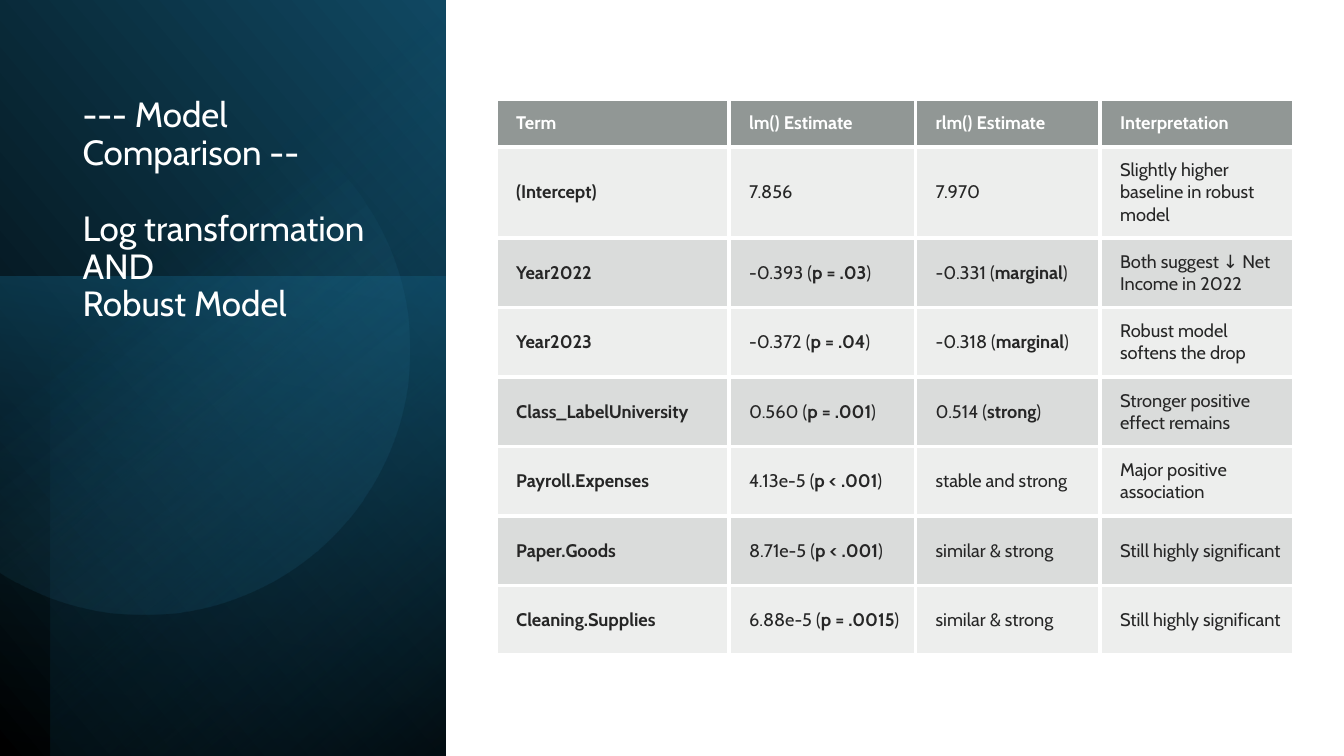
import math
import pptx
import pptx.dml.color
import pptx.enum.shapes
import pptx.enum.text
import pptx.oxml
import pptx.oxml.ns
import pptx.util

TITLE = ["--- Model Comparison --", "Log transformation AND", "Robust Model"]
TITLE_GAPS = [0, 27, 0]
HEADINGS = ["Term", "lm() Estimate", "rlm() Estimate", "Interpretation"]
TERMS = [
    ("(Intercept)", "7.856", "7.970", "Slightly higher baseline in robust model"),
    ("Year2022", "-0.393 (*p = .03*)", "-0.331 (*marginal*)", "Both suggest ↓ Net Income in 2022"),
    ("Year2023", "-0.372 (*p = .04*)", "-0.318 (*marginal*)", "Robust model softens the drop"),
    ("Class_LabelUniversity", "0.560 (*p = .001*)", "0.514 (*strong*)", "Stronger positive effect remains"),
    ("Payroll.Expenses", "4.13e-5 (*p < .001*)", "stable and strong", "Major positive association"),
    ("Paper.Goods", "8.71e-5 (*p < .001*)", "similar & strong", "Still highly significant"),
    ("Cleaning.Supplies", "6.88e-5 (*p = .0015*)", "similar & strong", "Still highly significant"),
]

WIDTH, HEIGHT = 13.33, 7.5
PANEL = 4.42
FONT = "Cabin"
COLUMNS = [2.31, 1.85, 1.83, 1.92]
ROWS = [0.48, 0.9] + [0.69] * 6
TABLE_LEFT, TABLE_TOP = 4.92, 0.98
CELL_FORMAT = {
    "margin_left": pptx.util.Inches(0.2),
    "margin_right": pptx.util.Inches(0.12),
    "margin_top": pptx.util.Inches(0.12),
    "margin_bottom": pptx.util.Inches(0.12),
    "vertical_anchor": pptx.enum.text.MSO_ANCHOR.MIDDLE,
}
PANEL_LAYERS = [
    {"area": (0, 0, PANEL, HEIGHT), "turn": 90, "flip": True, "angle": 310,
     "stops": [(0, "000000", 100), (100, "104862", 100)]},
    {"area": (0, 2.74, PANEL, HEIGHT - 2.74), "turn": 270, "flip": False, "angle": 190,
     "stops": [(0, "156082", 50), (100, "0B3041", 0)]},
    {"area": (0.5, 0, PANEL - 0.5, HEIGHT), "turn": 270, "flip": True, "angle": 220,
     "stops": [(0, "000000", 59), (69, "156082", 0)]},
]
CIRCLE = {"x": 1.43, "y": 3.47, "radius": 2.63, "angle": 52,
          "stops": [(39, "46B1E1", 0), (100, "104862", 26)]}
BORDER = ('<a:{side} xmlns:a="http://schemas.openxmlformats.org/drawingml/2006/main" w="38100">'
          '<a:solidFill><a:srgbClr val="FFFFFF"/></a:solidFill></a:{side}>')


def rgb(value):
    return pptx.dml.color.RGBColor.from_string(value)


def inches(*lengths):
    return [pptx.util.Inches(length) for length in lengths]


def apply(target, values):
    for key, value in values.items():
        setattr(target, key, value)


def set_alpha(color, percent):
    alpha = pptx.oxml.parse_xml(
        '<a:alpha xmlns:a="http://schemas.openxmlformats.org/drawingml/2006/main"/>')
    alpha.set("val", str(percent * 1000))
    color.append(alpha)


def shade(shape, layer):
    shape.shadow.inherit = False
    shape.line.fill.background()
    shape.fill.gradient()
    shape.fill.gradient_angle = 360 - layer["angle"]
    for stop, (position, color, _) in zip(shape.fill.gradient_stops, layer["stops"]):
        stop.position = position / 100
        stop.color.rgb = rgb(color)
    colors = shape._element.spPr.findall(".//" + pptx.oxml.ns.qn("a:srgbClr"))
    for element, (_, _, percent) in zip(colors, layer["stops"]):
        set_alpha(element, percent)


def add_panel_layer(slide, layer):
    left, top, width, height = layer["area"]
    middle_x, middle_y = left + width / 2, top + height / 2
    rectangle = slide.shapes.add_shape(
        pptx.enum.shapes.MSO_SHAPE.RECTANGLE,
        *inches(middle_x - height / 2, middle_y - width / 2, height, width))
    rectangle.rotation = layer["turn"]
    if layer["flip"]:
        rectangle._element.spPr.find(pptx.oxml.ns.qn("a:xfrm")).set("flipH", "1")
    shade(rectangle, layer)


def add_circle(slide):
    x, y, radius = CIRCLE["x"], CIRCLE["y"], CIRCLE["radius"]
    reach = math.acos(-x / radius)
    steps = 120
    angles = [reach * (2 * step / steps - 1) for step in range(steps + 1)]
    points = [inches(x + radius * math.cos(a), y + radius * math.sin(a)) for a in angles]
    outline = slide.shapes.build_freeform(*points[0])
    outline.add_line_segments(points[1:], close=True)
    shade(outline.convert_to_shape(), CIRCLE)


def add_title(slide):
    frame = slide.shapes.add_textbox(*inches(0.72, 0.92, 3.15, 5.46)).text_frame
    frame.word_wrap = True
    for index, (line, gap) in enumerate(zip(TITLE, TITLE_GAPS)):
        paragraph = frame.add_paragraph() if index else frame.paragraphs[0]
        paragraph.text = line
        paragraph.line_spacing = 0.9
        if gap:
            paragraph.space_before = pptx.util.Pt(gap)
        apply(paragraph.runs[0].font, {"name": FONT, "size": pptx.util.Pt(25)})
        paragraph.runs[0].font.color.rgb = rgb("FFFFFF")


def fill_cell(cell, text, bold, ink, fill, alpha):
    apply(cell, CELL_FORMAT)
    for index, part in enumerate(text.split("*")):
        run = cell.text_frame.paragraphs[0].add_run()
        run.text = part
        apply(run.font, {"name": FONT, "size": pptx.util.Pt(13), "bold": bold or index % 2 == 1})
        run.font.color.rgb = rgb(ink)
    properties = cell._tc.get_or_add_tcPr()
    for side in ("lnL", "lnR", "lnT", "lnB"):
        properties.append(pptx.oxml.parse_xml(BORDER.format(side=side)))
    cell.fill.solid()
    cell.fill.fore_color.rgb = rgb(fill)
    solid = properties.find(pptx.oxml.ns.qn("a:solidFill"))
    set_alpha(solid.find(pptx.oxml.ns.qn("a:srgbClr")), alpha)


def add_comparison(slide):
    table = slide.shapes.add_table(
        len(ROWS), len(COLUMNS),
        *inches(TABLE_LEFT, TABLE_TOP, sum(COLUMNS), sum(ROWS))).table
    for column, width in zip(table.columns, COLUMNS):
        column.width = pptx.util.Inches(width)
    for row, height in zip(table.rows, ROWS):
        row.height = pptx.util.Inches(height)
    for r, texts in enumerate([HEADINGS] + TERMS):
        ink, fill, alpha = ("262626", "878E8B", 15 if r % 2 else 30) if r else ("FFFFFF", "636B68", 70)
        for c, text in enumerate(texts):
            fill_cell(table.cell(r, c), text, r == 0 or c == 0, ink, fill, alpha)


def main():
    presentation = pptx.Presentation()
    presentation.slide_width, presentation.slide_height = inches(WIDTH, HEIGHT)
    slide = presentation.slides.add_slide(presentation.slide_layouts[6])
    for layer in PANEL_LAYERS:
        add_panel_layer(slide, layer)
    add_circle(slide)
    add_title(slide)
    add_comparison(slide)
    presentation.save("out.pptx")


if __name__ == "__main__":
    main()
